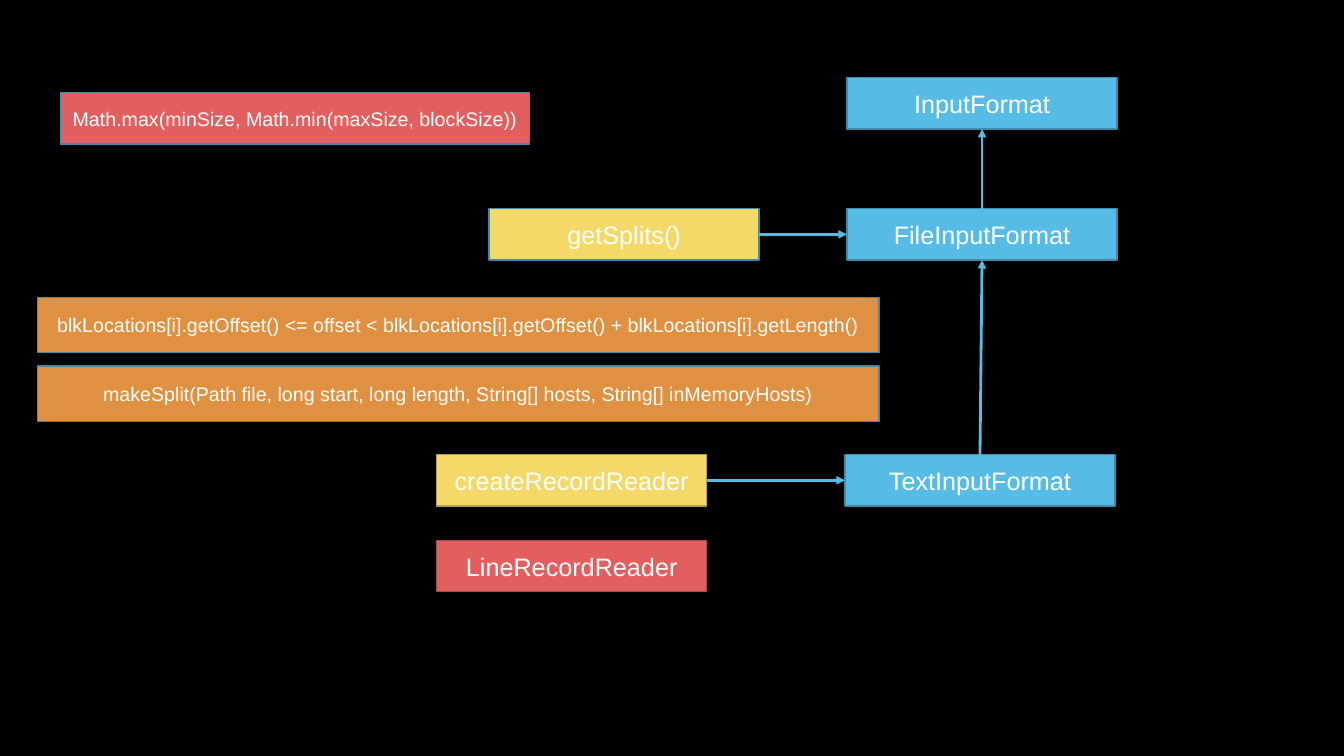
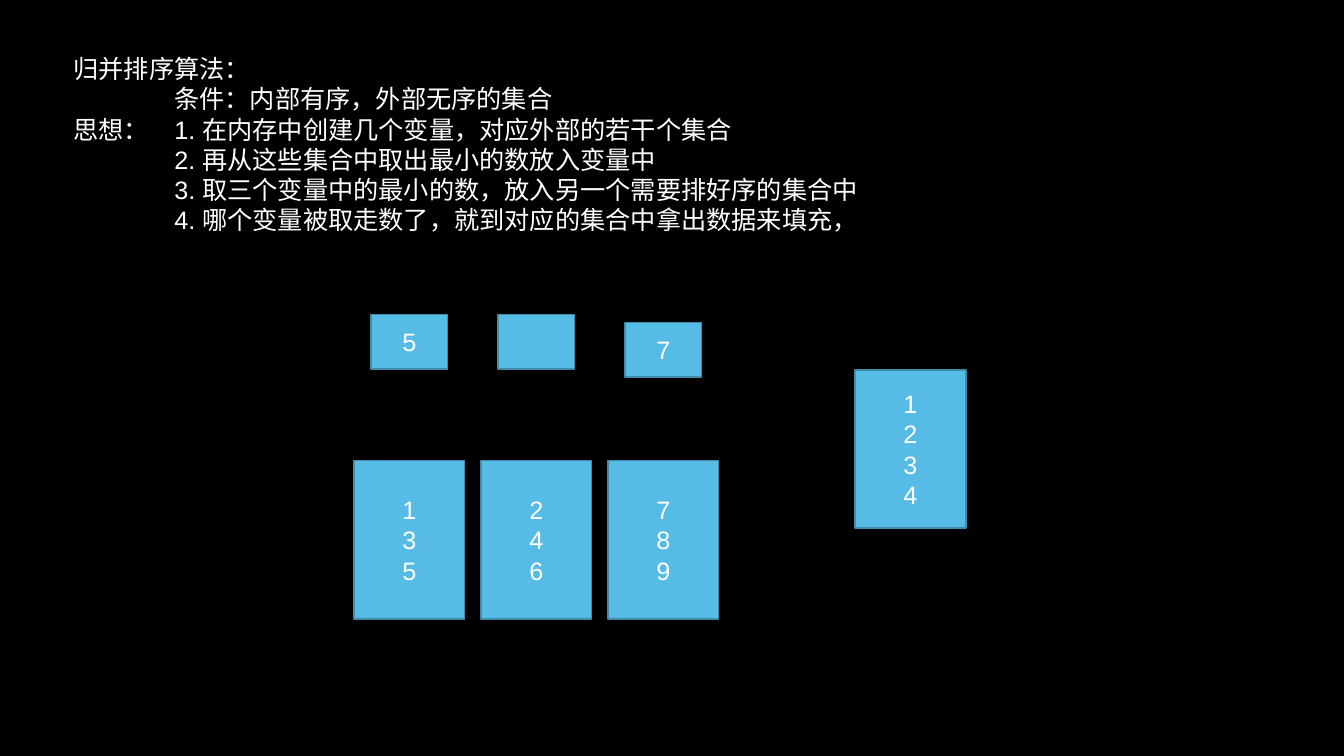
from dataclasses import dataclass

from lxml import etree
from pptx import Presentation
from pptx.dml.color import RGBColor
from pptx.enum.shapes import MSO_CONNECTOR, MSO_SHAPE
from pptx.enum.text import MSO_ANCHOR, PP_ALIGN
from pptx.oxml.ns import qn
from pptx.util import Inches, Pt

RECT = MSO_SHAPE.RECTANGLE
STRAIGHT = MSO_CONNECTOR.STRAIGHT
MIDDLE = MSO_ANCHOR.MIDDLE
LEFT, CENTER = PP_ALIGN.LEFT, PP_ALIGN.CENTER
TOP_SIDE, LEFT_SIDE, BOTTOM_SIDE, RIGHT_SIDE = range(4)


@dataclass(frozen=True)
class Theme:
    background: str = "000000"
    text: str = "FFFFFF"
    blue: str = "57BCE5"
    blue_edge: str = "408BA9"
    yellow: str = "F4D968"
    yellow_edge: str = "B5A14D"
    red: str = "E35F5F"
    red_edge: str = "A84646"
    orange: str = "DF9041"
    font: str = "Arial"
    body: int = 18
    code: int = 14
    edge: int = 1
    arrow: int = 2


THEME = Theme()

CLASS_W, CLASS_H = 2.68, 0.51
CLASS_BOXES = [
    ("InputFormat", 8.4, 0.77, THEME.blue, THEME.blue_edge),
    ("FileInputFormat", 8.4, 2.07, THEME.blue, THEME.blue_edge),
    ("TextInputFormat", 8.38, 4.51, THEME.blue, THEME.blue_edge),
    ("getSplits()", 4.85, 2.07, THEME.yellow, THEME.blue_edge),
    ("createRecordReader", 4.33, 4.51, THEME.yellow, THEME.yellow_edge),
    ("LineRecordReader", 4.33, 5.36, THEME.red, THEME.red_edge),
]
CODE_BOXES = [
    ("Math.max(minSize, Math.min(maxSize, blockSize))",
     (0.6, 0.92, 4.65, 0.51), THEME.red),
    ("blkLocations[i].getOffset() <= offset < "
     "blkLocations[i].getOffset() + blkLocations[i].getLength()",
     (0.37, 2.95, 8.35, 0.55), THEME.orange),
    ("makeSplit(Path file, long start, long length, "
     "String[] hosts, String[] inMemoryHosts)",
     (0.37, 3.63, 8.35, 0.55), THEME.orange),
]
ARROWS = [
    ("FileInputFormat", TOP_SIDE, "InputFormat", BOTTOM_SIDE),
    ("TextInputFormat", TOP_SIDE, "FileInputFormat", BOTTOM_SIDE),
    ("getSplits()", RIGHT_SIDE, "FileInputFormat", LEFT_SIDE),
    ("createRecordReader", RIGHT_SIDE, "TextInputFormat", LEFT_SIDE),
]

MERGE_SORT_NOTES = [
    "归并排序算法：",
    "\t条件：内部有序，外部无序的集合",
    "思想：\t1. 在内存中创建几个变量，对应外部的若干个集合",
    "\t2. 再从这些集合中取出最小的数放入变量中",
    "\t3. 取三个变量中的最小的数，放入另一个需要排好序的集合中",
    "\t4. 哪个变量被取走数了，就到对应的集合中拿出数据来填充，",
]
NOTES_TAB = 1
COLUMNS = [
    (["1", "3", "5"], ["5"], 3.12),
    (["2", "4", "6"], [], 3.12),
    (["7", "8", "9"], ["7"], 3.2),
]
MERGED = ["1", "2", "3", "4"]
SET_W, SET_H, SET_LEFT, SET_TOP, SET_PITCH = 1.1, 1.57, 3.51, 4.57, 1.26
VARIABLE_W, VARIABLE_H = 0.76, 0.54


def rgb(value):
    return RGBColor.from_string(value)


def write_text(tf, lines, size=THEME.body, align=CENTER, color=THEME.text, tab=None):
    tf.word_wrap = True
    for i, line in enumerate(lines):
        p = tf.paragraphs[0] if i == 0 else tf.add_paragraph()
        p.alignment = align
        if tab is not None:
            stops = etree.SubElement(p._p.get_or_add_pPr(), qn("a:tabLst"))
            etree.SubElement(stops, qn("a:tab"), pos=str(Inches(tab)), algn="l")
        r = p.add_run()
        r.text = line
        r.font.name = THEME.font
        r.font.size = Pt(size)
        r.font.color.rgb = rgb(color)


def add_box(s, lines, at, fill=THEME.blue, edge=THEME.blue_edge, size=THEME.body):
    sp = s.shapes.add_shape(RECT, *map(Inches, at))
    sp.shadow.inherit = False
    sp.fill.solid()
    sp.fill.fore_color.rgb = rgb(fill)
    sp.line.color.rgb = rgb(edge)
    sp.line.width = Pt(THEME.edge)
    sp.text_frame.vertical_anchor = MIDDLE
    write_text(sp.text_frame, lines, size=size)
    return sp


def add_arrow(s, start, start_side, end, end_side):
    line = s.shapes.add_connector(STRAIGHT, 0, 0, 0, 0)
    line.begin_connect(start, start_side)
    line.end_connect(end, end_side)
    line.line.color.rgb = rgb(THEME.blue)
    line.line.width = Pt(THEME.arrow)
    etree.SubElement(line.line._get_or_add_ln(), qn("a:tailEnd"), type="triangle")
    etree.SubElement(line._element.spPr, qn("a:effectLst"))


def build_input_formats(s):
    boxes = {
        name: add_box(s, [name], (x, y, CLASS_W, CLASS_H), fill, edge)
        for name, x, y, fill, edge in CLASS_BOXES
    }
    for code, at, fill in CODE_BOXES:
        add_box(s, [code], at, fill, size=THEME.code)
    for start, start_side, end, end_side in ARROWS:
        add_arrow(s, boxes[start], start_side, boxes[end], end_side)


def build_merge_sort(s):
    for i, (numbers, variable, variable_top) in enumerate(COLUMNS):
        x = SET_LEFT + i * SET_PITCH
        add_box(s, numbers, (x, SET_TOP, SET_W, SET_H))
        variable_x = x + (SET_W - VARIABLE_W) / 2
        add_box(s, variable, (variable_x, variable_top, VARIABLE_W, VARIABLE_H))
    add_box(s, MERGED, (8.48, 3.67, SET_W, SET_H))
    notes = s.shapes.add_textbox(*map(Inches, (0.63, 0.48, 8.71, 1.92)))
    write_text(notes.text_frame, MERGE_SORT_NOTES, align=LEFT, tab=NOTES_TAB)


def main():
    prs = Presentation()
    prs.slide_width, prs.slide_height = Inches(13.33), Inches(7.5)
    background = prs.slide_master.background.fill
    background.solid()
    background.fore_color.rgb = rgb(THEME.background)
    blank = prs.slide_layouts[6]
    for build in (build_input_formats, build_merge_sort):
        build(prs.slides.add_slide(blank))
    prs.save("out.pptx")


if __name__ == "__main__":
    main()
